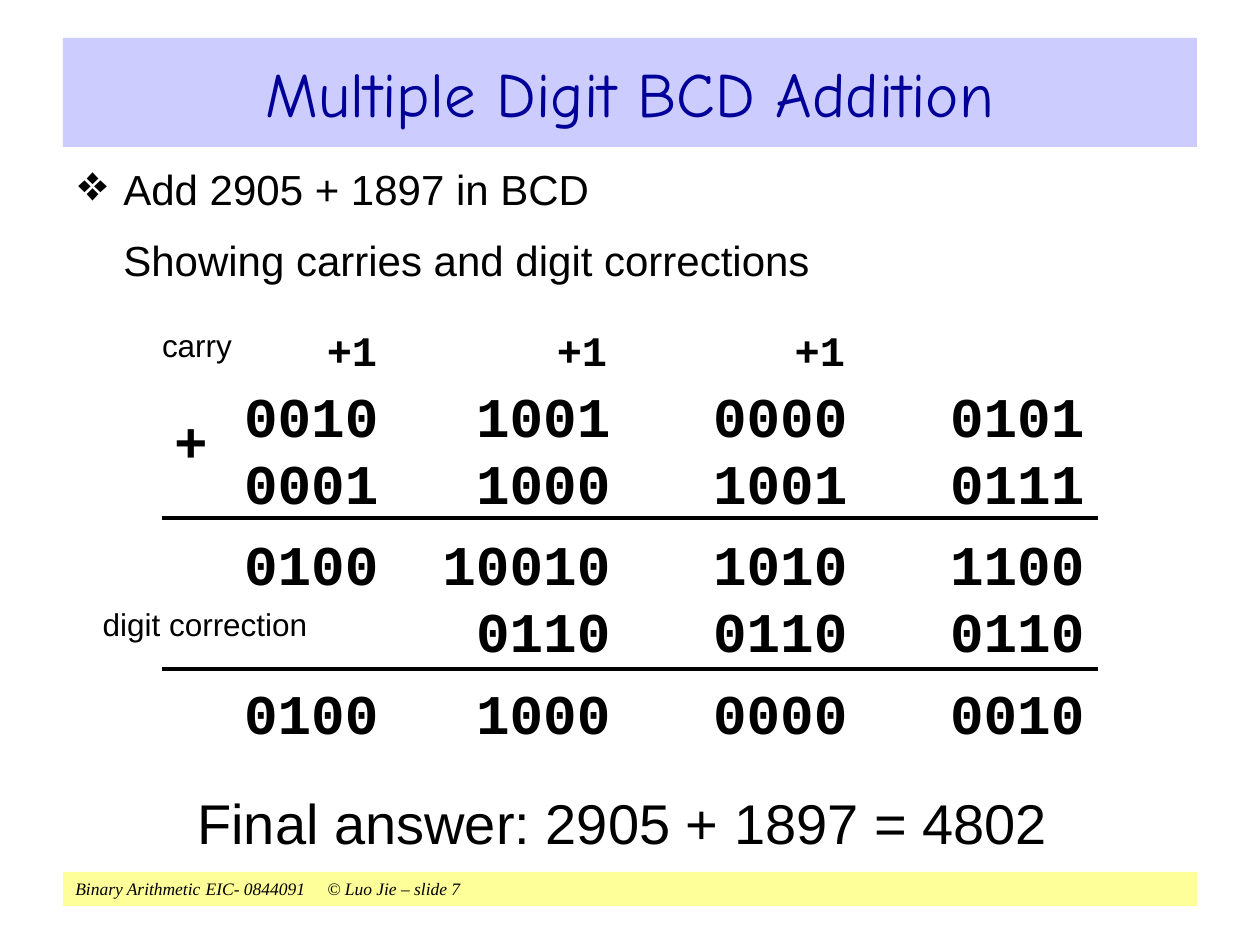
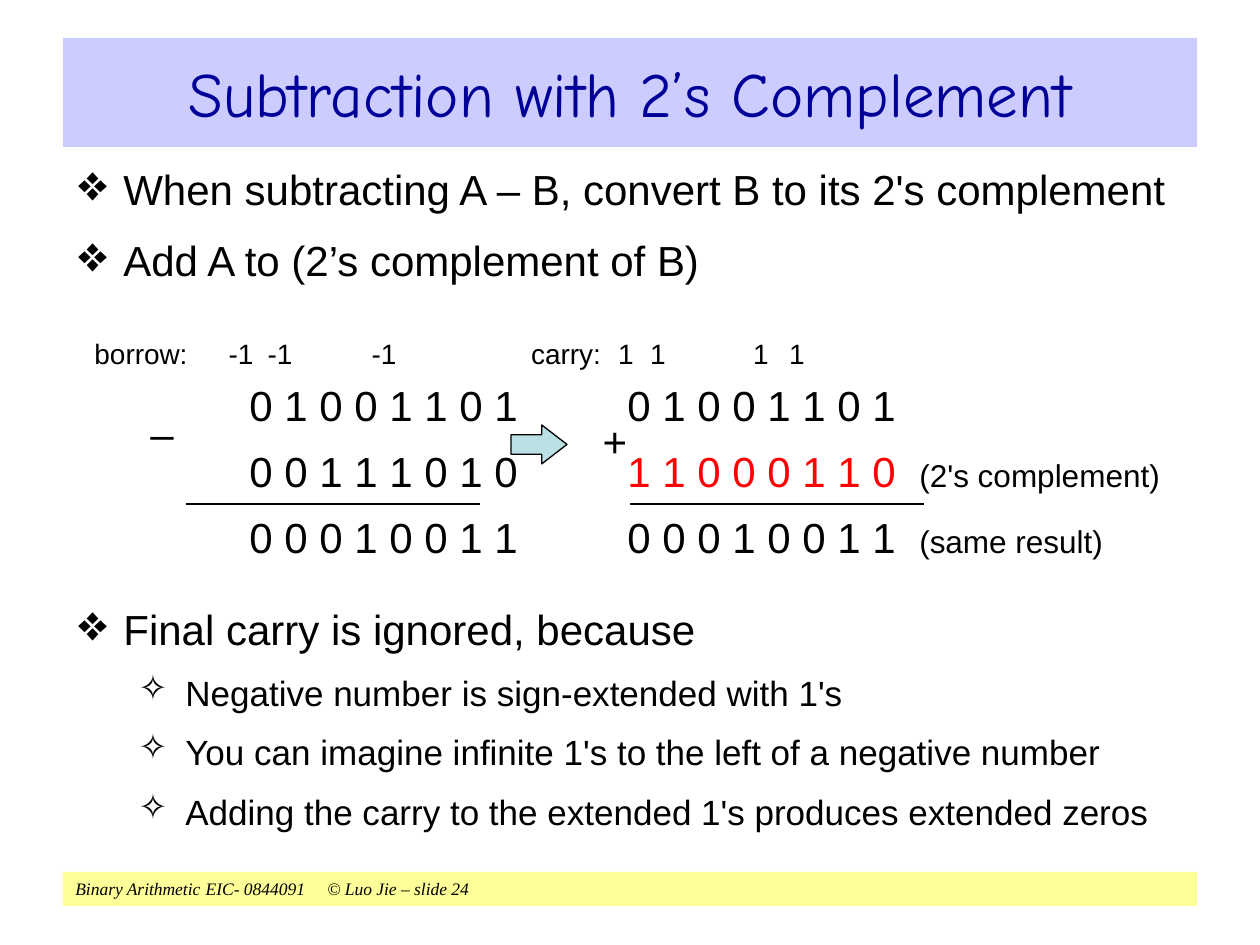
from dataclasses import dataclass

from lxml.etree import SubElement
from pptx import Presentation
from pptx.dml.color import RGBColor
from pptx.enum.shapes import MSO_CONNECTOR, MSO_SHAPE
from pptx.enum.text import MSO_ANCHOR, PP_ALIGN
from pptx.oxml.ns import qn
from pptx.util import Pt

EMU_PER_PX = 914400 / 126
BLANK_LAYOUT = 6


@dataclass(frozen=True)
class Theme:
    ink: str = "000000"
    title_ink: str = "000099"
    title_band: str = "CCCCFF"
    footer_band: str = "FFFF99"
    highlight: str = "FF0000"
    arrow: str = "BBE0E3"
    body_font: str = "Arial"
    title_font: str = "Comic Neue"
    digit_font: str = "Courier New"
    footer_font: str = "Times New Roman"
    title_size: int = 36
    large_size: int = 32
    body_size: int = 24
    sub_size: int = 20
    label_size: int = 18
    carry_size: int = 16
    footer_size: int = 10


THEME = Theme()


def px(length):
    return round(length * EMU_PER_PX)


def rgb(color):
    return RGBColor.from_string(color)


def write(frame, text, *, into=None, size=THEME.body_size, font=THEME.body_font,
          color=THEME.ink, bold=False, italic=False, align=PP_ALIGN.LEFT,
          before=0, margin=0, hang=0, bullet=None, bullet_percent=100, level=0):
    """Add a paragraph, or a further run when into names a paragraph."""
    paragraph = into
    if paragraph is None:
        first = frame.paragraphs[0]
        paragraph = frame.add_paragraph() if first.runs else first
        paragraph.alignment, paragraph.level = align, level
        paragraph.space_before = Pt(before)
        properties = paragraph._p.get_or_add_pPr()
        properties.set("marL", str(px(margin)))
        properties.set("indent", str(-px(hang)))
        if bullet:
            bullet_color = SubElement(properties, qn("a:buClr"))
            SubElement(bullet_color, qn("a:srgbClr"), val=THEME.ink)
            SubElement(properties, qn("a:buSzPct"), val=str(bullet_percent * 1000))
            SubElement(properties, qn("a:buChar"), char=bullet)
        else:
            SubElement(properties, qn("a:buNone"))
    run = paragraph.add_run()
    run.text = text
    run.font.size, run.font.name = Pt(size), font
    run.font.bold, run.font.italic = bold, italic
    run.font.color.rgb = rgb(color)
    return paragraph


def add_frame(slide, left, top, width, height, wrap=True):
    box = slide.shapes.add_textbox(px(left), px(top), px(width), px(height))
    box.text_frame.word_wrap = wrap
    return box.text_frame


def add_block(slide, preset, left, top, width, height, fill):
    block = slide.shapes.add_shape(preset, px(left), px(top), px(width), px(height))
    block.shadow.inherit = False
    block.fill.solid()
    block.fill.fore_color.rgb = rgb(fill)
    block.line.fill.background()
    return block


def add_band(slide, top, height, fill, text, **text_format):
    band = add_block(slide, MSO_SHAPE.RECTANGLE, 63, top, 1134, height, fill)
    band.text_frame.word_wrap = True
    band.text_frame.vertical_anchor = MSO_ANCHOR.MIDDLE
    write(band.text_frame, text, **text_format)


def add_rule(slide, left, right, y, weight):
    rule = slide.shapes.add_connector(
        MSO_CONNECTOR.STRAIGHT, px(left), px(y), px(right), px(y))
    rule.line.color.rgb = rgb(THEME.ink)
    rule.line.width = Pt(weight)
    SubElement(rule._element.spPr, qn("a:effectLst"))


def add_label(slide, text, center_x, center_y, width=60, **text_format):
    """Place a short one-line text around a centre point."""
    height = 40
    frame = add_frame(slide, center_x - width // 2, center_y - height // 2,
                      width, height, wrap=False)
    frame.vertical_anchor = MSO_ANCHOR.MIDDLE
    frame.margin_left = frame.margin_right = 0
    frame.margin_top = frame.margin_bottom = 0
    write(frame, text, align=PP_ALIGN.CENTER, **text_format)


def add_bcd_column(slide, right, rows):
    """Stack the two digits, sum, correction and result; None skips a row."""
    frame = add_frame(slide, right - 200, 375, 200, 377)
    row_gaps = [0, 0, 8, 0, 8]
    row_height = 38.4
    skipped = 0
    for digits, gap in zip(rows, row_gaps):
        if digits is None:
            skipped += row_height
            continue
        write(frame, digits, size=THEME.large_size, font=THEME.digit_font, bold=True,
              align=PP_ALIGN.RIGHT, before=gap + skipped)
        skipped = 0


def add_binary_column(slide, left, width, rows):
    """Stack rows of digits, each with its colour and a note after it."""
    frame = add_frame(slide, left, 373, width, 210)
    for digits, color, note in rows:
        row = write(frame, digits, color=color, before=9)
        if note:
            write(frame, note, into=row, size=THEME.label_size)


def add_point(frame, text, bullet="❖"):
    write(frame, text, before=12, margin=48, hang=45 if bullet else 0,
          bullet=bullet, bullet_percent=120)


def add_subpoint(frame, text):
    write(frame, text, size=THEME.sub_size, before=10,
          margin=110, hang=47, bullet="✧", level=1)


def add_lecture_slide(deck, title, number):
    slide = deck.slides.add_slide(deck.slide_layouts[BLANK_LAYOUT])
    add_band(slide, 872, 34, THEME.footer_band,
             f"Binary Arithmetic\t EIC- 0844091 \t© Luo Jie – slide {number}",
             size=THEME.footer_size, font=THEME.footer_font, italic=True)
    add_band(slide, 38, 109, THEME.title_band, title, size=THEME.title_size,
             font=THEME.title_font, color=THEME.title_ink, align=PP_ALIGN.CENTER)
    return slide


def build_bcd_addition(deck):
    slide = add_lecture_slide(deck, "Multiple Digit BCD Addition", 7)
    task = add_frame(slide, 63, 157, 1134, 150)
    add_point(task, "Add 2905 + 1897 in BCD")
    add_point(task, "Showing carries and digit corrections", bullet=None)

    columns = {
        391: ["0010", "0001", "0100", None, "0100"],
        623: ["1001", "1000", "10010", "0110", "1000"],
        860: ["0000", "1001", "1010", "0110", "0000"],
        1097: ["0101", "0111", "1100", "0110", "0010"],
    }
    for right, rows in columns.items():
        add_bcd_column(slide, right, rows)
    for y in (518, 669):
        add_rule(slide, 162, 1098, y, 2.25)

    for carry_x in (352, 582, 820):
        add_label(slide, "+1", carry_x, 350, font=THEME.digit_font, bold=True)
    add_label(slide, "+", 191, 440, size=THEME.large_size,
              font=THEME.digit_font, bold=True)
    add_label(slide, "carry", 197, 345, width=120, size=THEME.label_size)
    add_label(slide, "digit correction", 205, 624, width=240, size=THEME.label_size)

    answer = add_frame(slide, 185, 782, 914, 81)
    write(answer, "Final answer: 2905 + 1897 = 4802", size=THEME.large_size)


def build_twos_complement(deck):
    slide = add_lecture_slide(deck, "Subtraction with 2’s Complement", 24)
    method = add_frame(slide, 63, 157, 1134, 150)
    add_point(method, "When subtracting A – B, convert B to its 2's complement")
    add_point(method, "Add A to (2’s complement of B)")

    add_binary_column(slide, 237, 310, [
        ("0 1 0 0 1 1 0 1", THEME.ink, None),
        ("0 0 1 1 1 0 1 0", THEME.ink, None),
        ("0 0 0 1 0 0 1 1", THEME.ink, None)])
    add_binary_column(slide, 615, 585, [
        ("0 1 0 0 1 1 0 1", THEME.ink, None),
        ("1 1 0 0 0 1 1 0  ", THEME.highlight, "(2's complement)"),
        ("0 0 0 1 0 0 1 1  ", THEME.ink, "(same result)")])
    for left in (186, 630):
        add_rule(slide, left, left + 294, 504, 0.75)
    add_label(slide, "–", 162, 433)
    add_label(slide, "+", 615, 441)

    arrow = add_block(slide, MSO_SHAPE.RIGHT_ARROW, 511, 425, 56, 39, THEME.arrow)
    arrow.adjustments[0], arrow.adjustments[1] = 0.5, 0.65
    arrow.line.color.rgb = rgb(THEME.ink)
    arrow.line.width = Pt(0.75)

    for heading, center_x in (("borrow:", 141), ("carry:", 566)):
        add_label(slide, heading, center_x, 353, width=120, size=THEME.carry_size)
    carry_marks = {"-1": (241, 280, 384), "1": (626, 658, 761, 797)}
    for mark, centers in carry_marks.items():
        for center_x in centers:
            add_label(slide, mark, center_x, 353, width=30, size=THEME.carry_size)

    reasons = add_frame(slide, 63, 597, 1134, 265)
    add_point(reasons, "Final carry is ignored, because")
    add_subpoint(reasons, "Negative number is sign-extended with 1's")
    add_subpoint(reasons, "You can imagine infinite 1's to the left of a negative number")
    add_subpoint(reasons, "Adding the carry to the extended 1's produces extended zeros")


def main():
    deck = Presentation()
    deck.slide_width, deck.slide_height = px(1260), px(945)
    build_bcd_addition(deck)
    build_twos_complement(deck)
    deck.save("out.pptx")


if __name__ == "__main__":
    main()
